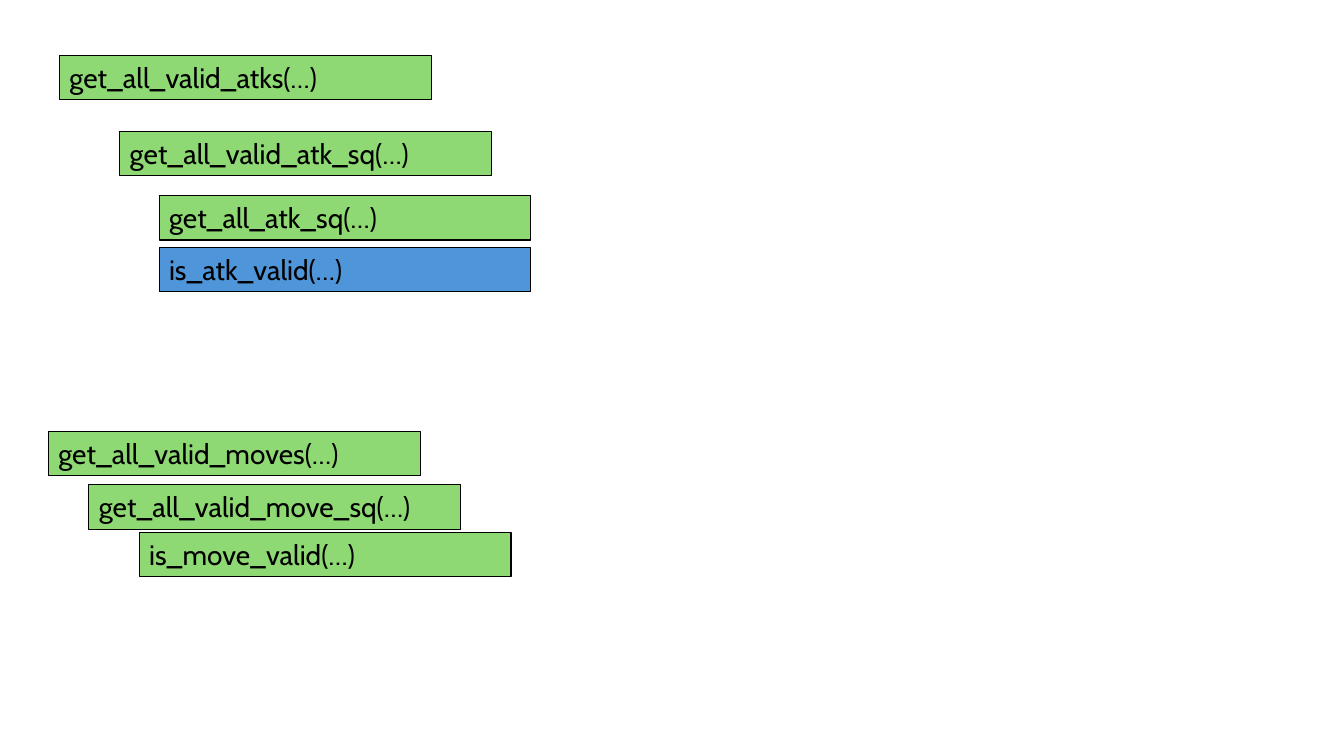
from dataclasses import dataclass

from pptx import Presentation
from pptx.dml.color import RGBColor
from pptx.enum.shapes import MSO_SHAPE
from pptx.enum.text import MSO_ANCHOR, MSO_AUTO_SIZE, PP_ALIGN
from pptx.util import Cm, Pt


@dataclass(frozen=True)
class Theme:
    green: RGBColor = RGBColor.from_string("8ED973")
    blue: RGBColor = RGBColor.from_string("4E95D9")
    ink: RGBColor = RGBColor.from_string("000000")
    font: str = "Cabin"
    size: Pt = Pt(20)
    rule: Pt = Pt(0.75)


THEME = Theme()
BAR_W, BAR_H = 9.37, 1.12

# Bars of a call tree: name, indent and drop in cm from its corner, fill
ATTACKS = [
    ("get_all_valid_atks(…)", 0, 0, THEME.green),
    ("get_all_valid_atk_sq(…)", 1.52, 1.91, THEME.green),
    ("get_all_atk_sq(…)", 2.51, 3.53, THEME.green),
    ("is_atk_valid(…)", 2.51, 4.83, THEME.blue),
]
MOVES = [
    ("get_all_valid_moves(…)", 0, 0, THEME.green),
    ("get_all_valid_move_sq(…)", 1.02, 1.35, THEME.green),
    ("is_move_valid(…)", 2.29, 2.54, THEME.green),
]


def format_all(target, values):
    for name, value in values.items():
        setattr(target, name, value)


def add_bar(slide, text, box, fill):
    left, top, width, height = map(Cm, box)
    bar = slide.shapes.add_shape(MSO_SHAPE.RECTANGLE, left, top, width, height)
    bar.shadow.inherit = False
    bar.fill.solid()
    bar.fill.fore_color.rgb = fill
    bar.line.color.rgb = THEME.ink
    bar.line.width = THEME.rule

    frame = bar.text_frame
    format_all(frame, {
        "word_wrap": True,
        "auto_size": MSO_AUTO_SIZE.SHAPE_TO_FIT_TEXT,
        "vertical_anchor": MSO_ANCHOR.TOP,
    })
    line = frame.paragraphs[0]
    line.alignment = PP_ALIGN.LEFT
    run = line.add_run()
    run.text = text
    format_all(run.font, {"name": THEME.font, "size": THEME.size})
    run.font.color.rgb = THEME.ink


def add_tree(slide, left, top, bars):
    """Place indented function bars relative to the tree's top left corner."""
    for text, indent, drop, fill in bars:
        add_bar(slide, text, (left + indent, top + drop, BAR_W, BAR_H), fill)


def main():
    deck = Presentation()
    format_all(deck, {"slide_width": Cm(33.87), "slide_height": Cm(19.05)})
    slide = deck.slides.add_slide(deck.slide_layouts[6])
    add_tree(slide, 1.5, 1.4, ATTACKS)
    add_tree(slide, 1.22, 10.87, MOVES)
    deck.save("out.pptx")


if __name__ == "__main__":
    main()
